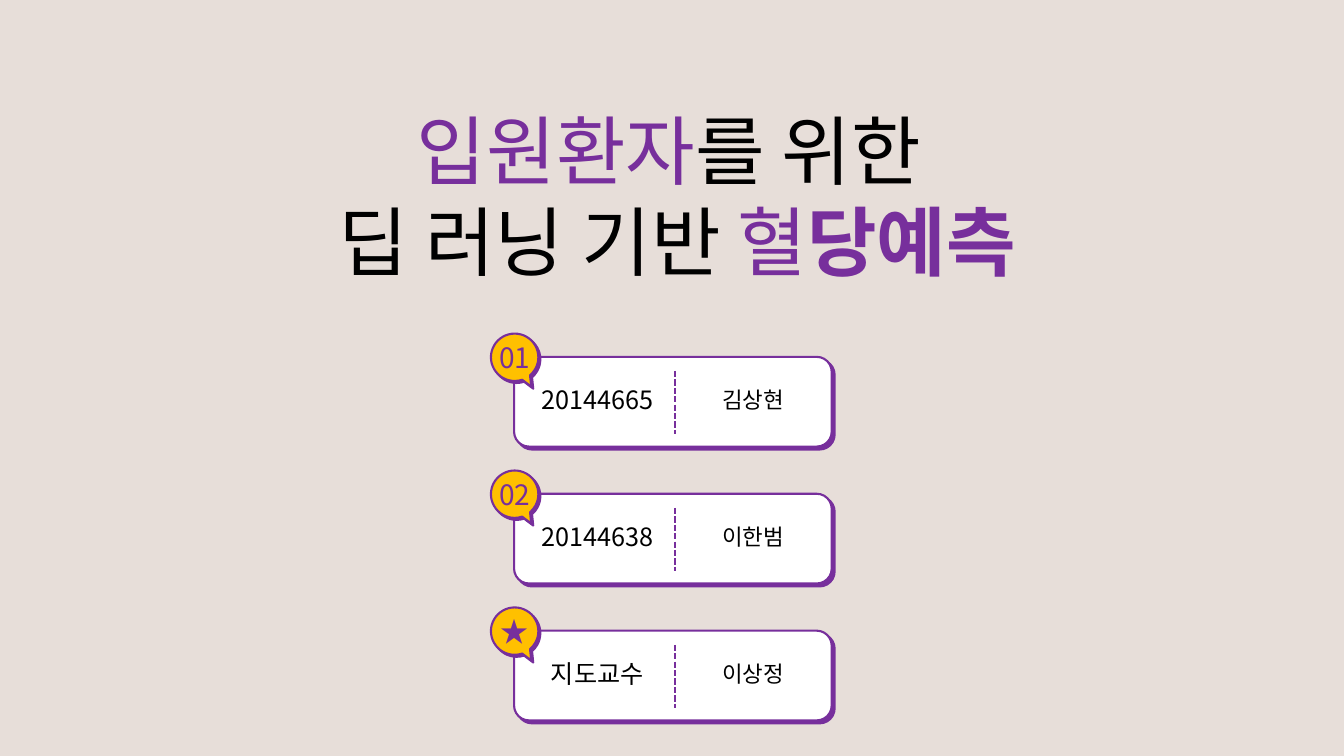
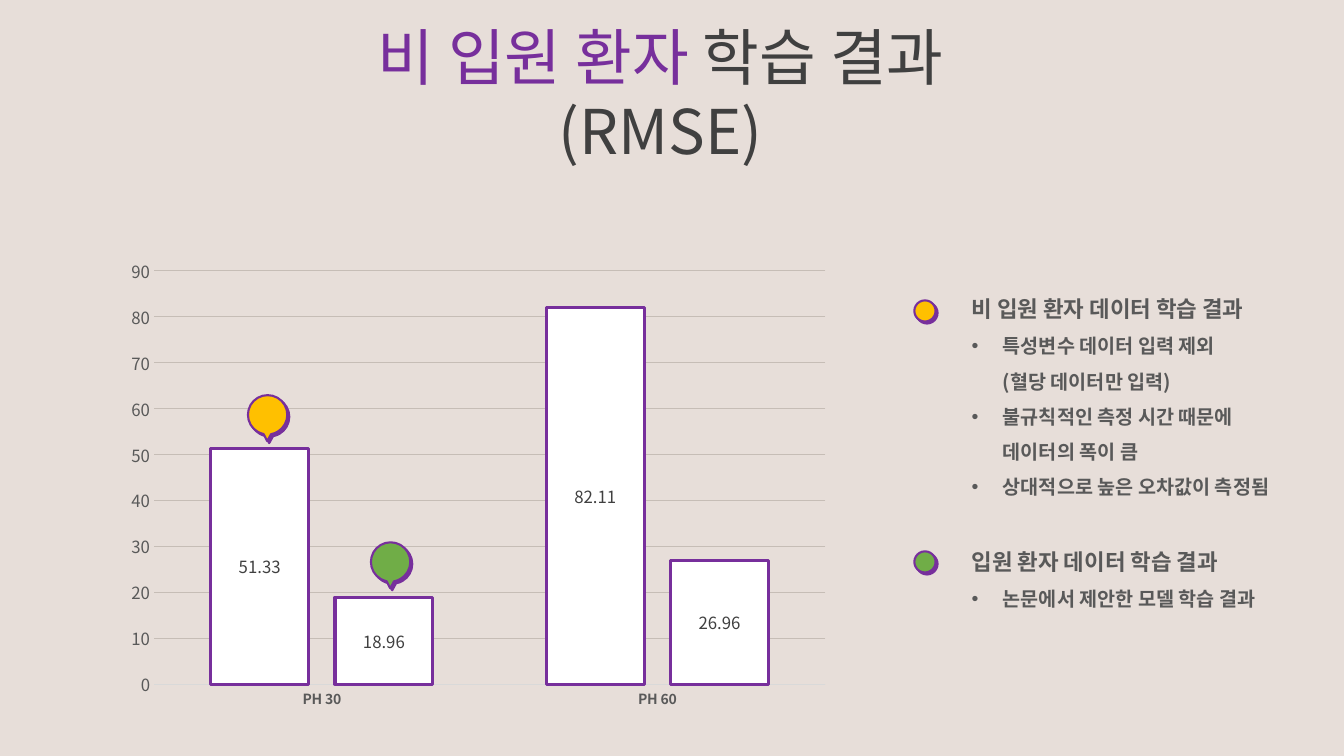
from lxml import etree
from pptx import Presentation
from pptx.chart.data import CategoryChartData
from pptx.dml.color import RGBColor
from pptx.enum.chart import XL_CHART_TYPE, XL_LABEL_POSITION, XL_TICK_MARK
from pptx.enum.dml import MSO_LINE
from pptx.enum.shapes import MSO_CONNECTOR, MSO_SHAPE
from pptx.enum.text import MSO_ANCHOR, MSO_AUTO_SIZE, PP_ALIGN
from pptx.oxml.ns import qn
from pptx.util import Inches, Pt

CARD = MSO_SHAPE.ROUNDED_RECTANGLE
BUBBLE = MSO_SHAPE.OVAL_CALLOUT
DOT = MSO_SHAPE.OVAL
STRAIGHT = MSO_CONNECTOR.STRAIGHT
DASH = MSO_LINE.SQUARE_DOT
LEFT, MID = PP_ALIGN.LEFT, PP_ALIGN.CENTER
TOP, CENTER = MSO_ANCHOR.TOP, MSO_ANCHOR.MIDDLE
GROW = MSO_AUTO_SIZE.SHAPE_TO_FIT_TEXT
COLUMNS = XL_CHART_TYPE.COLUMN_CLUSTERED
INSIDE = XL_LABEL_POSITION.CENTER
NO_TICK = XL_TICK_MARK.NONE

FONT = "Noto Sans CJK KR"
SAND = RGBColor(0xE7, 0xDE, 0xD9)
PURPLE = RGBColor(0x77, 0x2F, 0x9C)
GOLD = RGBColor(0xFF, 0xC0, 0x00)
GREEN = RGBColor(0x70, 0xAD, 0x47)
WHITE = RGBColor(0xFF, 0xFF, 0xFF)
BLACK = RGBColor(0x00, 0x00, 0x00)
DARK = RGBColor(0x40, 0x40, 0x40)
GRAY = RGBColor(0x59, 0x59, 0x59)
PALE = RGBColor(0xD9, 0xD9, 0xD9)
GRID = RGBColor(0xC6, 0xBD, 0xB6)

WIDTH, HEIGHT = Inches(13.33), Inches(7.5)
COL, ROW = WIDTH / 100, HEIGHT / 100
STEP = 18.11
INDENT = Inches(0.31)


def place(x, y, w, h):
    return [round(n) for n in (x * COL, y * ROW, w * COL, h * ROW)]


def style(font, size, color=None, bold=None):
    font.size = Pt(size)
    font.name = FONT
    font.bold = bold
    if color is not None:
        font.color.rgb = color


def add_run(para, text, color=None, bold=None):
    for i, line in enumerate(text.split("\n")):
        if i:
            para.add_line_break()
        run = para.add_run()
        run.text = line
        if color is not None:
            run.font.color.rgb = color
        if bold is not None:
            run.font.bold = bold


def add_para(frame, runs, size, color=None, bold=None, align=LEFT,
             space=None, bullet=False):
    fresh = len(frame.paragraphs) == 1 and not frame.paragraphs[0].runs
    para = frame.paragraphs[0] if fresh else frame.add_paragraph()
    para.alignment = align
    para.line_spacing = space
    if bullet:
        props = para._p.get_or_add_pPr()
        props.set("marL", str(INDENT))
        props.set("indent", str(-INDENT))
        etree.SubElement(props, qn("a:buFont"), typeface="Arial")
        etree.SubElement(props, qn("a:buChar"), char="•")
    style(para.font, size, color, bold)
    latin = para._p.pPr.find(qn("a:defRPr")).find(qn("a:latin"))
    latin.addnext(etree.Element(qn("a:ea"), typeface=FONT))
    for run in runs:
        add_run(para, *run)


def add_box(slide, spot, anchor=TOP):
    frame = slide.shapes.add_textbox(*place(*spot)).text_frame
    frame.word_wrap = True
    frame.auto_size = GROW
    frame.vertical_anchor = anchor
    return frame


def add_label(slide, spot, text, size):
    add_para(add_box(slide, spot, CENTER), [(text,)], size, BLACK, align=MID)


def add_form(slide, kind, spot, fill, depth=2, tail=None):
    form = slide.shapes.add_shape(kind, *place(*spot))
    form.fill.solid()
    form.fill.fore_color.rgb = fill
    form.line.color.rgb = PURPLE
    form.line.width = Pt(1.5)
    form.shadow.inherit = False
    effect = form._element.spPr.find(qn("a:effectLst"))
    shade = etree.SubElement(effect, qn("a:outerShdw"), blurRad="0",
                             dist=str(Pt(depth)), dir="2700000",
                             algn="tl", rotWithShape="0")
    etree.SubElement(shade, qn("a:srgbClr"), val=str(PURPLE))
    for i, value in enumerate(tail or ()):
        form.adjustments[i] = value
    return form


def add_split(slide, x, top, end):
    left, top, _, tall = place(x, top, 0, end - top)
    line = slide.shapes.add_connector(STRAIGHT, left, top, left, top + tall)
    line.line.color.rgb = PURPLE
    line.line.width = Pt(1.5)
    line.line.dash_style = DASH
    etree.SubElement(line._element.spPr, qn("a:effectLst"))


def add_card(slide, top, mark, role, name):
    add_form(slide, CARD, (38.25, top, 23.63, 11.87), WHITE, 3)
    add_split(slide, 50.25, top + 1.87, top + 10.27)
    badge = add_form(slide, BUBBLE, (36.53, top - 3.07, 3.53, 6.27), GOLD,
                     tail=(0.35, 0.62))
    frame = badge.text_frame
    frame.word_wrap = False
    frame.vertical_anchor = CENTER
    add_para(frame, [(mark,)], 20, PURPLE, align=MID)
    add_label(slide, (39, top + 0.93, 10.88, 9.47), role, 18)
    add_label(slide, (51.15, top + 3.2, 9.75, 4.93), name, 16)


def add_note(slide, dot, spot, color, head, points):
    add_form(slide, DOT, (68.03, dot, 1.58, 2.8), color)
    frame = add_box(slide, spot)
    add_para(frame, [(head,)], 16, GRAY, True, space=1.5)
    for point in points:
        add_para(frame, [(point,)], 14, GRAY, True, space=1.5, bullet=True)


def add_bars(slide, spot, groups, rows):
    data = CategoryChartData()
    data.categories = groups
    for name, values in rows:
        data.add_series(name, values)
    chart = slide.shapes.add_chart(COLUMNS, *place(*spot), data).chart
    chart.has_legend = False
    chart.has_title = False
    style(chart.font, 10, BLACK)
    base, scale = chart.category_axis, chart.value_axis
    for axis, size, bold in ((base, 10, True), (scale, 12, False)):
        axis.major_tick_mark = NO_TICK
        axis.minor_tick_mark = NO_TICK
        style(axis.tick_labels.font, size, GRAY, bold)
    base.format.line.color.rgb = PALE
    base.format.line.width = Pt(0.75)
    scale.format.line.fill.background()
    scale.minimum_scale, scale.maximum_scale = 0, 90
    scale.major_unit = 10
    grid = scale.major_gridlines.format.line
    grid.color.rgb = GRID
    grid.width = Pt(0.75)
    plot = chart.plots[0]
    plot.gap_width, plot.overlap = 116, -27
    plot.vary_by_categories = False
    for bar in plot.series:
        bar.format.fill.solid()
        bar.format.fill.fore_color.rgb = WHITE
        bar.format.line.color.rgb = PURPLE
        bar.format.line.width = Pt(2.25)
        bar.invert_if_negative = False
        labels = bar.data_labels
        labels.show_value = True
        labels.position = INSIDE
        style(labels.font, 12, DARK)


def add_cover(slide):
    frame = add_box(slide, (22.2, 13.07, 56.4, 25.6))
    add_para(frame, [("입원환자", PURPLE), ("를 위한 \n딥 러닝 기반 ", BLACK),
                     ("혈", PURPLE), ("당예측", PURPLE, True)], 54, align=MID)
    cards = [("01", "20144665", "김상현"),
             ("02", "20144638", "이한범"),
             ("★", "지도교수", "이상정")]
    for i, card in enumerate(cards):
        add_card(slide, 47.2 + i * STEP, *card)


def add_result(slide):
    add_bars(slide, (8.7, 32.93, 53.78, 62), ["PH 30", "PH 60"],
             [("Series 1", (51.33, 82.11)), ("Series 2", (18.96, 26.96))])
    for x, y, color in ((18.45, 52.27, GOLD), (27.6, 71.73, GREEN)):
        add_form(slide, BUBBLE, (x, y, 2.93, 5.2), color, tail=(-0.01, 0.67))
    add_note(slide, 39.73, (71.55, 36.67, 23.78, 39.2), GOLD,
             "비 입원 환자 데이터 학습 결과",
             ["특성변수 데이터 입력 제외\n(혈당 데이터만 입력)",
              "불규칙적인 측정 시간 때문에 \n데이터의 폭이 큼",
              "상대적으로 높은 오차값이 측정됨"])
    add_note(slide, 72.93, (71.55, 70.13, 23.78, 10.93), GREEN,
             "입원 환자 데이터 학습 결과", ["논문에서 제안한 모델 학습 결과"])
    frame = add_box(slide, (21.45, 1.73, 55.43, 21.07), CENTER)
    add_para(frame, [("비 입원 환자 ", PURPLE), ("학습 결과", DARK)], 44,
             align=MID)
    add_para(frame, [("(RMSE)",)], 44, DARK, align=MID)


def main():
    deck = Presentation()
    deck.slide_width, deck.slide_height = WIDTH, HEIGHT
    back = deck.slide_master.background.fill
    back.solid()
    back.fore_color.rgb = SAND
    blank = deck.slide_layouts[6]
    for build in (add_cover, add_result):
        build(deck.slides.add_slide(blank))
    deck.save("out.pptx")


if __name__ == "__main__":
    main()
